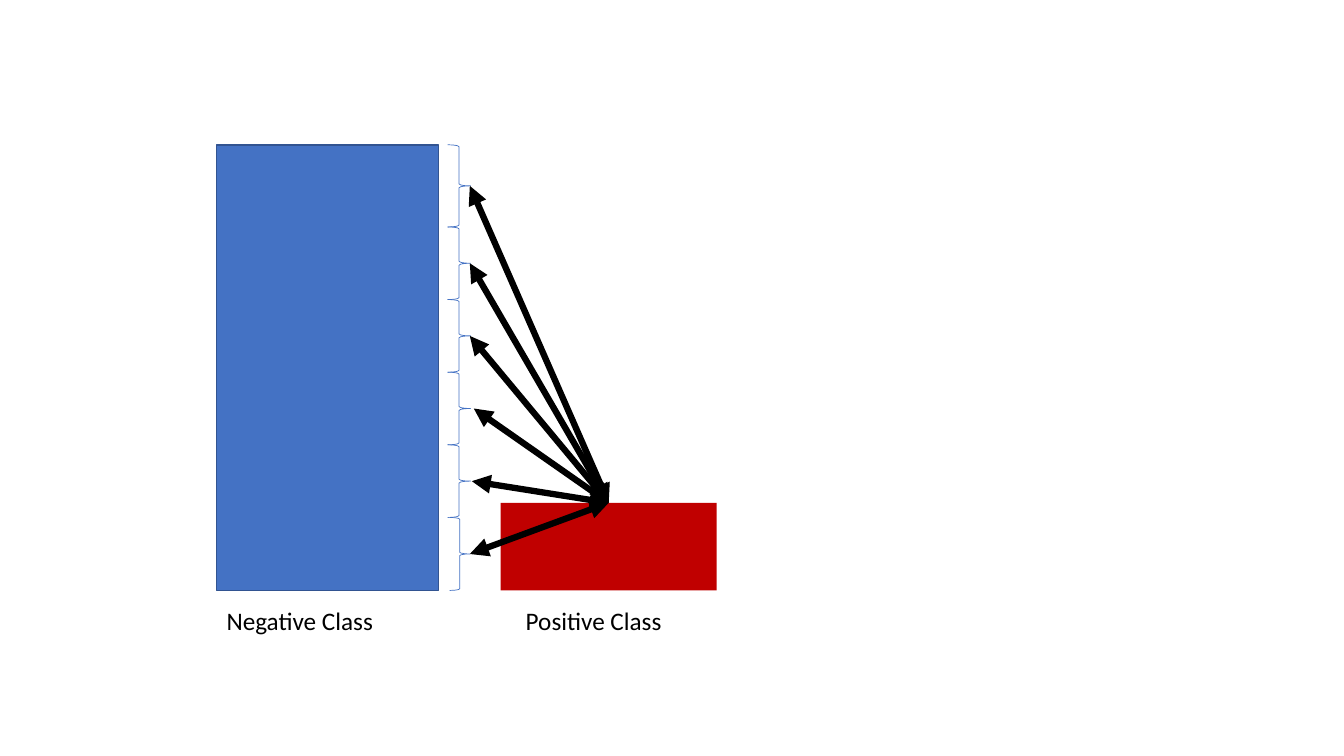
from lxml.etree import SubElement
from pptx import Presentation
from pptx.dml.color import RGBColor
from pptx.enum.shapes import MSO_CONNECTOR as Connector, MSO_SHAPE as Shape
from pptx.enum.text import MSO_AUTO_SIZE as AutoSize
from pptx.oxml.ns import qn
from pptx.util import Cm, Pt

BLUE = RGBColor(0x44, 0x72, 0xC4)
DARK_BLUE = RGBColor(0x32, 0x54, 0x91)
RED = RGBColor(0xC0, 0x00, 0x00)
BLACK = RGBColor(0x00, 0x00, 0x00)

BAR_TOP, BAR_HEIGHT = 3.65, 11.23
POSITIVE_TOP, POSITIVE_CENTRE = 12.67, 15.34

# One row per segment of the negative class: brace left, width, height, arrow tip x
SEGMENTS = [
    (11.28, 0.58, 2.07, 11.84),
    (11.28, 0.58, 1.83, 11.84),
    (11.28, 0.58, 1.83, 11.84),
    (11.28, 0.58, 1.83, 11.94),
    (11.28, 0.58, 1.83, 11.89),
    (11.33, 0.51, 1.84, 11.84),
]


def add_preset(slide, preset, left, top, width, height,
               fill=None, line=None, line_width=1):
    shape = slide.shapes.add_shape(preset, Cm(left), Cm(top), Cm(width), Cm(height))
    shape.shadow.inherit = False
    if fill is None:
        shape.fill.background()
    else:
        shape.fill.solid()
        shape.fill.fore_color.rgb = fill
    if line is None:
        shape.line.fill.background()
    else:
        shape.line.color.rgb = line
        shape.line.width = Pt(line_width)


def add_double_arrow(slide, start_x, start_y, end_x, end_y):
    arrow = slide.shapes.add_connector(
        Connector.STRAIGHT, Cm(start_x), Cm(start_y), Cm(end_x), Cm(end_y))
    arrow.line.color.rgb = BLACK
    arrow.line.width = Pt(4.5)
    properties = arrow._element.spPr
    line = properties.find(qn("a:ln"))
    for end in ("a:headEnd", "a:tailEnd"):
        SubElement(line, qn(end), type="triangle")
    SubElement(properties, qn("a:effectLst"))


def add_label(slide, text, left):
    box = slide.shapes.add_textbox(Cm(left), Cm(15.14), Cm(5.59), Cm(1.03))
    text_frame = box.text_frame
    text_frame.word_wrap = True
    text_frame.auto_size = AutoSize.SHAPE_TO_FIT_TEXT
    text_frame.text = text
    font = text_frame.paragraphs[0].runs[0].font
    font.name = "Calibri"
    font.size = Pt(18)
    font.color.rgb = BLACK


def main():
    presentation = Presentation()
    presentation.slide_width = Cm(33.87)
    presentation.slide_height = Cm(19.05)
    slide = presentation.slides.add_slide(presentation.slide_layouts[6])

    # Class bars, standing on a common baseline
    add_preset(slide, Shape.RECTANGLE, 5.46, BAR_TOP, 5.59, BAR_HEIGHT, BLUE, DARK_BLUE)
    add_preset(slide, Shape.RECTANGLE, 12.62, POSITIVE_TOP, 5.44,
               BAR_TOP + BAR_HEIGHT - POSITIVE_TOP, RED)

    # Stacked braces, then arrows to the middle of each
    tips = []
    top = BAR_TOP
    for left, width, height, tip_x in SEGMENTS:
        add_preset(slide, Shape.RIGHT_BRACE, left, top, width, height,
                   line=BLUE, line_width=0.5)
        tips.append((tip_x, top + height / 2))
        top += height
    for tip_x, tip_y in tips:
        add_double_arrow(slide, POSITIVE_CENTRE, POSITIVE_TOP, tip_x, tip_y)

    # Class labels
    add_label(slide, "Negative Class", 5.46)
    add_label(slide, "Positive Class", 13)

    presentation.save("out.pptx")


main()
